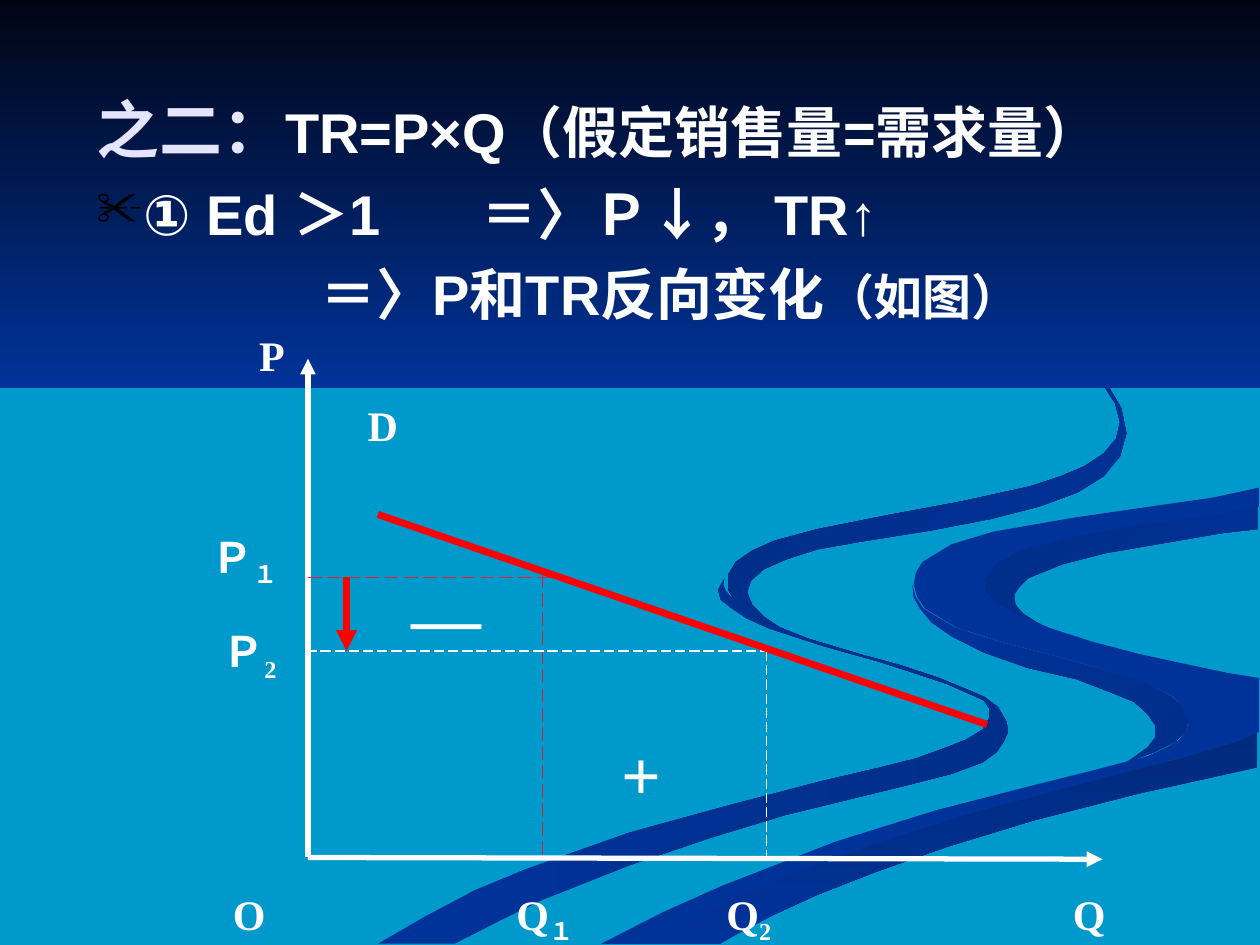
from dataclasses import dataclass

from lxml.etree import SubElement
from pptx import Presentation
from pptx.dml.color import RGBColor
from pptx.enum.dml import MSO_LINE
from pptx.oxml.ns import qn
from pptx.util import Pt


@dataclass(frozen=True)
class Theme:
    """Colours, fonts and type sizes of the slide."""
    sea: str = "0099CC"
    night: str = "000514"
    navy: str = "003399"
    lavender: str = "E5E5FF"
    white: str = "FFFFFF"
    black: str = "000000"
    red: str = "FF0000"
    crimson: str = "E0203B"
    lead_font: str = "Montserrat"
    body_font: str = "Arial"
    label_font: str = "Times New Roman"
    lead: int = 36
    body: int = 32
    note: int = 28
    label: int = 24
    sign: int = 40


THEME = Theme()
GRID = Pt(0.72)

LEFT_STREAM = [
    (781, 553), (767, 547), (745, 538), (715, 528), (682, 519), (642, 507), (614, 496), (594, 485),
    (583, 477), (576, 469), (574, 464), (575, 459), (570, 468), (572, 476), (581, 483), (593, 491),
    (611, 499), (654, 513), (697, 525), (728, 535), (752, 543), (770, 551), (781, 556), (785, 562),
    (785, 570), (780, 579), (767, 587), (749, 594), (727, 602), (699, 609), (652, 620), (579, 639),
    (499, 661), (417, 690), (376, 707), (338, 727), (300, 749), (361, 749), (396, 731), (431, 714),
    (499, 687), (564, 665), (623, 647), (676, 634), (721, 623), (756, 614), (780, 605), (791, 597),
    (797, 588), (800, 581), (799, 573), (792, 561)]
RIVER_EDGE = [
    (943, 570), (939, 562), (930, 553), (905, 540), (870, 530), (830, 519), (792, 509), (758, 498),
    (733, 483), (727, 474), (724, 464), (725, 474), (730, 483), (739, 494), (755, 505), (781, 518),
    (815, 530), (854, 539), (880, 549), (900, 557), (911, 567), (917, 576), (917, 585), (911, 593),
    (900, 601), (894, 605), (916, 597), (932, 589), (941, 581)]
RIVER_FOOT = [
    (519, 747), (503, 749), (571, 749), (587, 740), (614, 726), (649, 710), (695, 692), (752, 672),
    (821, 651), (903, 630), (998, 609), (998, 581), (985, 587), (963, 594), (936, 602), (903, 610),
    (831, 629), (764, 647), (696, 669), (630, 693), (569, 719)]
RIVER = [
    (725, 464), (728, 474), (734, 483), (759, 498), (793, 509), (831, 519), (871, 530), (905, 540),
    (931, 553), (939, 562), (943, 570), (942, 579), (936, 587), (926, 593), (911, 600), (892, 605),
    (869, 611), (813, 625), (743, 643), (663, 668), (573, 703), (526, 724), (477, 749), (503, 749),
    (519, 747), (570, 719), (630, 693), (696, 669), (765, 647), (832, 629), (904, 610), (951, 598),
    (986, 587), (999, 581), (999, 538), (974, 534), (941, 527), (904, 519), (866, 509), (832, 498),
    (804, 485), (786, 473), (781, 463), (786, 453), (800, 442), (822, 434), (850, 427), (899, 418),
    (968, 409), (999, 402), (999, 387), (962, 395), (920, 401), (851, 411), (788, 422), (755, 432),
    (732, 446), (727, 454)]
RIVER_BEND = [
    (781, 460), (782, 469), (791, 478), (806, 487), (826, 496), (812, 487), (806, 480), (805, 472),
    (809, 466), (816, 459), (843, 448), (878, 439), (936, 429), (971, 423), (998, 420), (998, 402),
    (967, 409), (898, 418), (849, 427), (810, 437), (791, 447)]
UPPER_STREAM = [
    (683, 430), (739, 421), (786, 412), (825, 402), (855, 391), (876, 378), (889, 362), (894, 344),
    (890, 324), (880, 307), (864, 291), (843, 275), (810, 256), (780, 241), (762, 233), (805, 254),
    (846, 279), (862, 292), (876, 306), (885, 320), (889, 335), (886, 348), (876, 360), (861, 370),
    (842, 378), (818, 386), (763, 398), (704, 409), (649, 420), (615, 429), (597, 437), (584, 446),
    (578, 456), (578, 468), (584, 479), (596, 488), (613, 496), (622, 500), (607, 490), (597, 480),
    (593, 470), (596, 461), (606, 452), (624, 444), (649, 436)]
SKY = [(0, 0), (0, 308), (1000, 308), (1000, 0)]

BACKDROP = [
    (LEFT_STREAM, THEME.navy, "002E8B", 0),
    (RIVER_EDGE, THEME.navy, "002E8B", 45),
    (RIVER_FOOT, "002A7D", THEME.navy, 90),
    (RIVER, THEME.navy, THEME.navy, 0),
    (RIVER_BEND, "002D86", THEME.navy, 45),
    (UPPER_STREAM, "002B82", THEME.navy, 45),
    (SKY, THEME.night, THEME.navy, 90),
]


def add_run(paragraph, text, size, font, color=THEME.white, baseline=None):
    """Append one bold run, lowered when a baseline is given."""
    run = paragraph.add_run()
    run.text = text
    run.font.size = Pt(size)
    run.font.name = font
    run.font.bold = True
    run.font.color.rgb = RGBColor.from_string(color)
    if baseline:
        run.font._element.set("baseline", str(baseline * 1000))


def add_textbox(slide, left, top, width, height):
    """Add a wrapping text box and return its text frame."""
    frame = slide.shapes.add_textbox(Pt(left), Pt(top), Pt(width), Pt(height)).text_frame
    frame.word_wrap = True
    return frame


def add_label(slide, left, top, width, text, subscript="", size=THEME.label):
    """Add a diagram label with an optional subscript."""
    paragraph = add_textbox(slide, left, top, width, size * 1.4).paragraphs[0]
    add_run(paragraph, text, size, THEME.label_font)
    if subscript:
        add_run(paragraph, subscript, size, THEME.label_font, baseline=-25)


def add_line(slide, start, end, color, weight, dashed=False, arrow=False):
    """Draw a straight line between two points."""
    connector = slide.shapes.add_connector(1, *(Pt(value) for value in (*start, *end)))
    connector.line.color.rgb = RGBColor.from_string(color)
    connector.line.width = Pt(weight)
    if dashed:
        connector.line.dash_style = MSO_LINE.LONG_DASH
    properties = connector._element.spPr
    if arrow:
        SubElement(properties.find(qn("a:ln")), qn("a:tailEnd"), type="triangle")
    SubElement(properties, qn("a:effectLst"))


def add_backdrop(slide, left, top):
    """Paint the sea, its winding streams and the night sky."""
    slide.background.fill.solid()
    slide.background.fill.fore_color.rgb = RGBColor.from_string(THEME.sea)
    for outline, first, last, angle in BACKDROP:
        builder = slide.shapes.build_freeform(*outline[0], scale=GRID)
        builder.add_line_segments(outline[1:], close=True)
        area = builder.convert_to_shape(Pt(left), Pt(top))
        area.shadow.inherit = False
        area.line.fill.background()
        if first == last:
            area.fill.solid()
            area.fill.fore_color.rgb = RGBColor.from_string(first)
            continue
        area.fill.gradient()
        area.fill.gradient_angle = -angle % 360
        for stop, color in zip(area.fill.gradient_stops, (first, last)):
            stop.color.rgb = RGBColor.from_string(color)


def set_indent(paragraph, margin, hanging=0):
    """Set the left margin and hanging indent and return the properties."""
    properties = paragraph._p.get_or_add_pPr()
    properties.set("marL", str(Pt(margin)))
    properties.set("indent", str(-Pt(hanging)))
    return properties


def add_statement(slide, left, top, width, height):
    """Write the revenue formula and the elastic case."""
    frame = add_textbox(slide, left, top, width, height)
    formula, case, result = frame.paragraphs[0], frame.add_paragraph(), frame.add_paragraph()

    set_indent(formula, 27, 27)
    add_run(formula, "之二：", THEME.lead, THEME.lead_font, THEME.lavender)
    add_run(formula, "TR=P×Q（假定销售量=需求量）", THEME.body, THEME.body_font)

    properties = set_indent(case, 27, 27)
    bullet_color = SubElement(properties, qn("a:buClr"))
    SubElement(bullet_color, qn("a:srgbClr"), val=THEME.black)
    SubElement(properties, qn("a:buSzPct"), val="85000")
    SubElement(properties, qn("a:buChar"), char="✂")
    tabs = SubElement(properties, qn("a:tabLst"))
    SubElement(tabs, qn("a:tab"), pos=str(Pt(220)), algn="l")
    case.space_before = Pt(8)
    add_run(case, "① Ed ＞1\t＝〉Ｐ↓， TR↑", THEME.body, THEME.body_font)

    set_indent(result, 128)
    result.space_before = Pt(7)
    add_run(result, "＝〉P和TR反向变化", THEME.body, THEME.body_font)
    add_run(result, "（如图）", THEME.note, THEME.body_font)


def add_demand_diagram(slide, left, top, width, height):
    """Draw the demand line and the two price levels inside the axes."""
    bottom = top + height
    high, low = top + 125, top + 167
    first, second = left + 134, left + 262
    add_line(slide, (left, bottom), (left + width, bottom + 1), THEME.white, 3, arrow=True)
    add_line(slide, (left, bottom), (left, top), THEME.white, 3, arrow=True)
    add_line(slide, (first, high - 2), (first, bottom), THEME.crimson, 1, dashed=True)
    add_line(slide, (first + 5, high), (left, high), THEME.crimson, 1, dashed=True)
    add_line(slide, (left - 1, low), (second + 6, low), THEME.white, 0.75, dashed=True)
    add_line(slide, (second, low), (second, bottom + 1), THEME.white, 0.75, dashed=True)
    add_line(slide, (left + 40, top + 89), (left + 388, top + 209), THEME.red, 4)
    add_line(slide, (left + 22, high), (left + 22, low), THEME.red, 4, arrow=True)

    add_label(slide, left + 27, top + 20, 63, "D")
    add_label(slide, left - 35, top - 20, 63, "P")
    add_label(slide, left - 62, high - 30, 66, "Ｐ", "１")
    add_label(slide, left - 56, low - 18, 66, "Ｐ", "2")
    add_label(slide, left + 52, top + 119, 36, "—", size=THEME.sign)
    add_label(slide, left + 172, top + 209, 48, "+", size=THEME.sign)
    for offset, text, subscript in ((-50, "O", ""), (112, "Q", "１"), (232, "Q", "2"), (430, "Q", "")):
        add_label(slide, left + offset, bottom + 14, 66, text, subscript)


def main():
    """Build the slide and save it."""
    deck = Presentation()
    deck.slide_width, deck.slide_height = Pt(720), Pt(540)
    slide = deck.slides.add_slide(deck.slide_layouts[6])
    add_backdrop(slide, 0, 0)
    add_statement(slide, 48, 48, 612, 150)
    add_demand_diagram(slide, 176, 205, 454, 285)
    deck.save("out.pptx")


if __name__ == "__main__":
    main()
